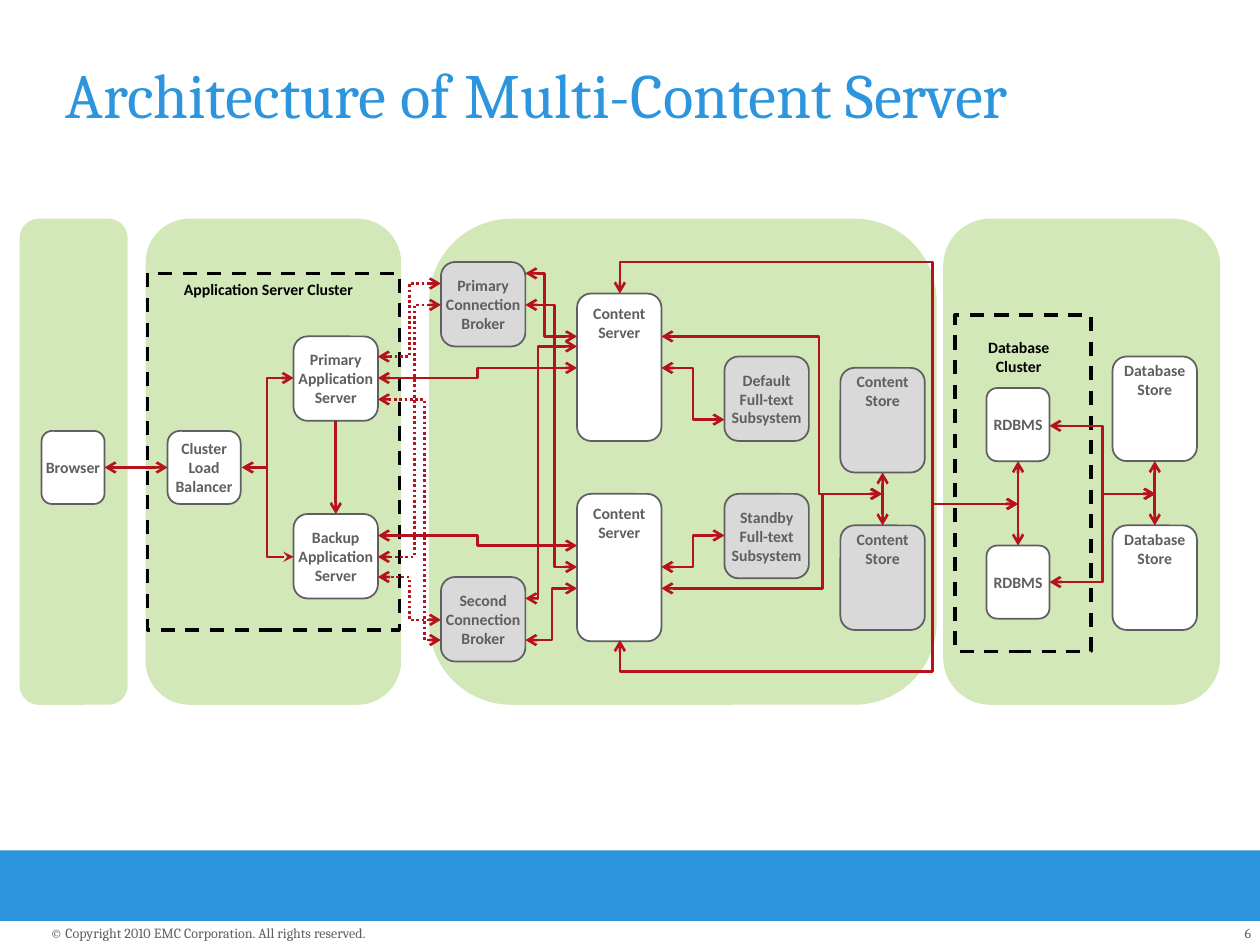
from pptx import Presentation
from pptx.dml.color import RGBColor
from pptx.enum.dml import MSO_LINE
from pptx.enum.shapes import MSO_CONNECTOR, MSO_SHAPE
from pptx.enum.text import MSO_ANCHOR, PP_ALIGN
from pptx.oxml.ns import qn
from pptx.util import Inches, Pt
from lxml import etree

RECTANGLE, ROUNDED = MSO_SHAPE.RECTANGLE, MSO_SHAPE.ROUNDED_RECTANGLE
STRAIGHT, ELBOW = MSO_CONNECTOR.STRAIGHT, MSO_CONNECTOR.ELBOW
DASH, DOTS = MSO_LINE.DASH, MSO_LINE.ROUND_DOT
TOP, MIDDLE = MSO_ANCHOR.TOP, MSO_ANCHOR.MIDDLE
LEFT, CENTER, RIGHT = PP_ALIGN.LEFT, PP_ALIGN.CENTER, PP_ALIGN.RIGHT
TOP_SIDE, LEFT_SIDE, BOTTOM_SIDE, RIGHT_SIDE = range(4)

WHITE = RGBColor(0xFF, 0xFF, 0xFF)
BLACK = RGBColor(0, 0, 0)
BLUE = RGBColor(0x2C, 0x95, 0xDD)
GREEN = RGBColor(0xD2, 0xE8, 0xB9)
GRAY = RGBColor(0xD9, 0xD9, 0xD9)
DARK_GRAY = RGBColor(0x5F, 0x5F, 0x5F)
RED = RGBColor(0xB5, 0x12, 0x1B)

# Name: left, top, width, height, text, fill, anchor, vertical inset
NODES = {
    "browser": (0.33, 3.42, 0.5, 0.58, "Browser", WHITE, MIDDLE, 0.05),
    "balancer": (1.33, 3.42, 0.58, 0.58, "Cluster Load Balancer", WHITE, MIDDLE, 0.05),
    "primary app": (2.33, 2.67, 0.67, 0.67, "Primary\nApplication\nServer", WHITE, MIDDLE, 0.05),
    "backup app": (2.33, 4.08, 0.67, 0.67, "Backup\nApplication\nServer", WHITE, MIDDLE, 0.05),
    "primary broker": (3.5, 2.08, 0.67, 0.67, "Primary\nConnection\nBroker", GRAY, MIDDLE, 0.05),
    "second broker": (3.5, 4.58, 0.67, 0.67, "Second\nConnection\nBroker", GRAY, MIDDLE, 0.05),
    "default index": (5.75, 2.83, 0.67, 0.67, "Default\nFull-text\nSubsystem", GRAY, MIDDLE, 0.05),
    "standby index": (5.75, 3.92, 0.67, 0.67, "Standby\nFull-text\nSubsystem", GRAY, MIDDLE, 0.05),
    "upper database": (7.83, 3.08, 0.5, 0.58, "RDBMS", WHITE, MIDDLE, 0.05),
    "lower database": (7.83, 4.33, 0.5, 0.58, "RDBMS", WHITE, MIDDLE, 0.05),
    "upper content store": (6.67, 2.92, 0.67, 0.83, "Content\nStore", GRAY, TOP, 0),
    "lower content store": (6.67, 4.17, 0.67, 0.83, "Content\nStore", GRAY, TOP, 0),
    "upper database store": (8.83, 2.83, 0.67, 0.83, "Database\nStore", WHITE, TOP, 0),
    "lower database store": (8.83, 4.17, 0.67, 0.83, "Database\nStore", WHITE, TOP, 0),
    "lower content server": (4.58, 3.92, 0.67, 1.17, "Content\nServer", WHITE, TOP, 0.05),
    "upper content server": (4.58, 2.33, 0.67, 1.17, "Content\nServer", WHITE, TOP, 0.05),
}

# Node, side, node, side, arrowhead at the beginning
STRAIGHT_LINKS = [
    ("primary app", BOTTOM_SIDE, "backup app", TOP_SIDE, None),
    ("balancer", LEFT_SIDE, "browser", RIGHT_SIDE, "arrow"),
    ("upper content store", BOTTOM_SIDE, "lower content store", TOP_SIDE, "arrow"),
    ("upper database store", BOTTOM_SIDE, "lower database store", TOP_SIDE, "arrow"),
    ("upper database", BOTTOM_SIDE, "lower database", TOP_SIDE, "arrow"),
]

# Begin, end, x of the vertical run
SOLID_ELBOWS = [
    ((4.58, 4.67), (4.17, 5.08), 4.38),
    ((4.58, 2.92), (3, 3), 3.79),
    ((5.25, 2.92), (5.75, 3.33), 5.5),
    ((5.25, 4.5), (5.75, 4.25), 5.5),
    ((5.25, 2.67), (7, 3.92), 6.5),
    ((5.25, 4.67), (7, 3.92), 6.53),
    ((8.33, 4.62), (9.17, 3.92), 8.75),
    ((8.33, 3.38), (9.17, 3.92), 8.75),
    ((4.17, 4.75), (4.58, 2.75), 4.27),
    ((4.58, 4.5), (4.17, 2.42), 4.4),
    ((4.17, 2.17), (4.58, 2.67), 4.32),
    ((3, 4.25), (4.58, 4.33), 3.79),
]
DOTTED_ELBOWS = [
    ((3.5, 4.92), (3, 4.58), 3.25),
    ((3.5, 2.42), (3, 4.42), 3.29),
    ((3.5, 5.08), (3, 3.17), 3.37),
    ((3.5, 2.25), (3, 2.83), 3.25),
]


def write(shape, text, size=9, font="Calibri", color=DARK_GRAY, bold=False, align=CENTER,
          anchor=TOP, insets=(0.1, 0.05), wrap=True):
    """Fill the shape with one paragraph per line; insets are horizontal, vertical."""
    frame = shape.text_frame
    frame.text = text
    frame.word_wrap = wrap
    frame.vertical_anchor = anchor
    frame.margin_left = frame.margin_right = Inches(insets[0])
    frame.margin_top = frame.margin_bottom = Inches(insets[1])
    for paragraph in frame.paragraphs:
        paragraph.alignment = align
        for run in paragraph.runs:
            run.font.size = Pt(size)
            run.font.name = font
            run.font.bold = bold
            run.font.color.rgb = color


def add_text(slide, box, text, **text_format):
    write(slide.shapes.add_textbox(*map(Inches, box)), text, **text_format)


def add_box(slide, box, preset=ROUNDED, fill=None, line=None, width=1, dash=None):
    shape = slide.shapes.add_shape(preset, *map(Inches, box))
    shape.shadow.inherit = False
    if fill is None:
        shape.fill.background()
    else:
        shape.fill.solid()
        shape.fill.fore_color.rgb = fill
    if line is None:
        shape.line.fill.background()
    else:
        shape.line.color.rgb = line
        shape.line.width = Pt(width)
        shape.line.dash_style = dash
    return shape


def add_link(slide, kind, begin, end, head="arrow", dash=None):
    connector = slide.shapes.add_connector(kind, *map(Inches, (*begin, *end)))
    connector.line.color.rgb = RED
    connector.line.width = Pt(1.5)
    connector.line.dash_style = dash
    line = connector.line._get_or_add_ln()
    for tag, arrowhead in (("a:headEnd", head), ("a:tailEnd", "arrow")):
        if arrowhead:
            etree.SubElement(line, qn(tag), type=arrowhead)
    etree.SubElement(connector._element.spPr, qn("a:effectLst"))
    return connector


def set_bends(connector, preset, *ratios):
    geometry = connector._element.spPr.find(qn("a:prstGeom"))
    geometry.set("prst", preset)
    guides = geometry.find(qn("a:avLst"))
    for number, ratio in enumerate(ratios, 1):
        etree.SubElement(guides, qn("a:gd"), name=f"adj{number}",
                         fmla=f"val {round(ratio * 100000)}")


def add_elbow(slide, begin, end, bend_x, **link_format):
    connector = add_link(slide, ELBOW, begin, end, **link_format)
    set_bends(connector, "bentConnector3", (bend_x - begin[0]) / (end[0] - begin[0]))


def add_loop(slide, begin, end, bend_x, overhang, upward):
    """Leave begin vertically, away from end, then turn at bend_x and run to end."""
    connector = add_link(slide, ELBOW, begin, end)
    run, rise = end[0] - begin[0], abs(end[1] - begin[1])
    connector.left = Inches((begin[0] + end[0] - rise) / 2)
    connector.top = Inches((begin[1] + end[1] - run) / 2)
    connector.width, connector.height = Inches(rise), Inches(run)
    transform = connector._element.spPr.find(qn("a:xfrm"))
    transform.set("rot", str((270 if upward else 90) * 60000))
    transform.set("flipH", "1")
    transform.set("flipV", "0" if upward else "1")
    set_bends(connector, "bentConnector4", -overhang / rise, (bend_x - begin[0]) / run)


def add_frame(slide):
    add_box(slide, (0, 6.75, 10, 0.56), RECTANGLE, fill=BLUE)
    footer = dict(size=8, font="Cambria", insets=(0, 0))
    add_text(slide, (9.35, 7.34, 0.58, 0.13), "6", align=RIGHT, **footer)
    add_text(slide, (0.4, 7.34, 2.64, 0.13),
             "© Copyright 2010 EMC Corporation. All rights reserved.",
             align=LEFT, wrap=False, **footer)
    add_text(slide, (0.42, 0.42, 8.58, 0.94), "Architecture of Multi-Content Server",
             size=36, font="Cambria", color=BLUE, align=LEFT, insets=(0.1, 0.02))


def add_nodes(slide):
    nodes = {}
    for name, (*box, text, fill, anchor, inset) in NODES.items():
        nodes[name] = add_box(slide, box, fill=fill, line=DARK_GRAY)
        write(nodes[name], text, bold=True, anchor=anchor, insets=(0, inset))
    return nodes


def add_links(slide, nodes):
    for end, head in (((2.33, 3), "stealth"), ((2.33, 4.42), None)):
        if head:
            add_elbow(slide, (1.92, 3.71), end, 2.12, head=head)
        else:
            add_elbow(slide, end, (1.92, 3.71), 2.12, head="stealth")
    for first, first_side, second, second_side, head in STRAIGHT_LINKS:
        connector = add_link(slide, STRAIGHT, (0, 0), (0, 0), head=head)
        connector.begin_connect(nodes[first], first_side)
        connector.end_connect(nodes[second], second_side)
    for elbows, dash in ((SOLID_ELBOWS, None), (DOTTED_ELBOWS, DOTS)):
        for begin, end, bend_x in elbows:
            add_elbow(slide, begin, end, bend_x, dash=dash)
    for begin_y, upward in ((2.33, True), (5.08, False)):
        add_loop(slide, (4.92, begin_y), (8.08, 4), 7.4, 0.25, upward)


def main():
    presentation = Presentation()
    presentation.slide_width, presentation.slide_height = Inches(10), Inches(7.5)
    slide = presentation.slides.add_slide(presentation.slide_layouts[6])
    add_frame(slide)
    for left, width in ((7.5, 2.17), (3.42, 4), (1.17, 2), (0.17, 0.83)):
        add_box(slide, (left, 1.75, width, 3.83), fill=GREEN, line=GREEN, width=2)
    nodes = add_nodes(slide)
    for box in ((1.17, 2.17, 2, 2.83), (7.58, 2.5, 1.08, 2.67)):
        add_box(slide, box, RECTANGLE, line=BLACK, width=2, dash=DASH)
    add_text(slide, (7.67, 2.63, 0.83, 0.4), "Database Cluster", color=BLACK, bold=True)
    add_text(slide, (1.17, 2.17, 1.92, 0.25), "Application Server Cluster", color=BLACK, bold=True)
    add_links(slide, nodes)
    presentation.save("out.pptx")


if __name__ == "__main__":
    main()
